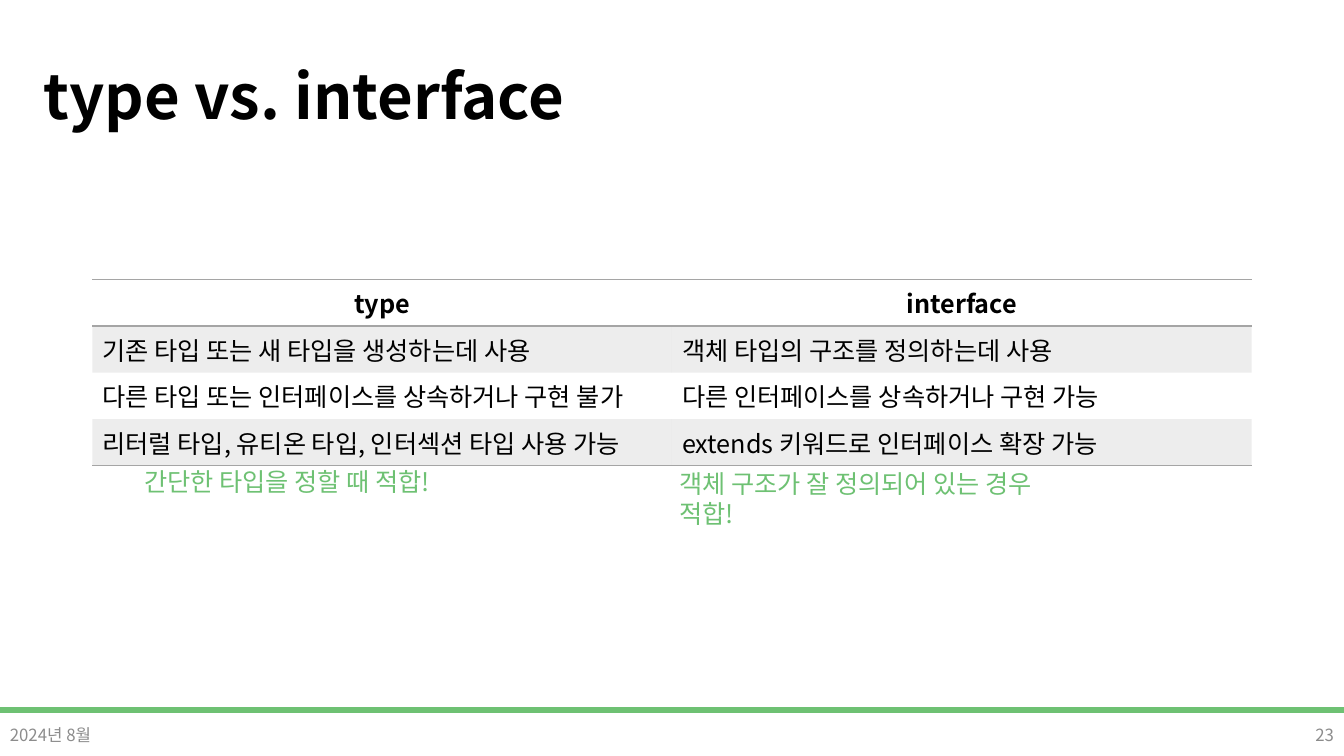
"""Build the slide comparing type and interface."""
import pptx
import pptx.dml.color
import pptx.enum.shapes
import pptx.enum.text
import pptx.oxml
import pptx.oxml.ns
import pptx.util
from lxml import etree

Pt = pptx.util.Pt
RGBColor = pptx.dml.color.RGBColor
ALIGN = pptx.enum.text.PP_ALIGN
ANCHOR = pptx.enum.text.MSO_ANCHOR
qn = pptx.oxml.ns.qn
FONT = "Noto Sans CJK KR"
BLACK = RGBColor(0x00, 0x00, 0x00)
GREEN = RGBColor(0x6E, 0xC1, 0x73)
GRAY = RGBColor(0x8C, 0x8C, 0x8C)
RULE = RGBColor(0xA5, 0xA5, 0xA5)
NO_STYLE = "{2D5ABB26-0587-4C30-8999-92F81FD0307C}"


def write(text_frame, text, size, color, bold=False, align=ALIGN.LEFT):
    paragraph = text_frame.paragraphs[0]
    paragraph.text = text
    paragraph.alignment = align
    font = paragraph.font
    font.name, font.size, font.bold = FONT, Pt(size), bold
    font.color.rgb = color
    defaults = paragraph._p.pPr.find(qn("a:defRPr"))
    etree.SubElement(defaults, qn("a:ea"), typeface=FONT)


def add_rule(cell, side, position):
    border = pptx.oxml.parse_xml(
        f'<a:{side} {pptx.oxml.ns.nsdecls("a")} w="{Pt(1)}"><a:solidFill>'
        f'<a:srgbClr val="{RULE}"/></a:solidFill></a:{side}>')
    cell._tc.get_or_add_tcPr().insert(position, border)


presentation = pptx.Presentation()
presentation.slide_width, presentation.slide_height = Pt(960), Pt(540)
slide = presentation.slides.add_slide(presentation.slide_layouts[5])

bar = slide.shapes.add_shape(
    pptx.enum.shapes.MSO_SHAPE.RECTANGLE, Pt(0), Pt(505.2), Pt(960), Pt(3.8))
bar.shadow.inherit = False
bar.fill.solid()
bar.fill.fore_color.rgb = GREEN
bar.line.color.rgb = GREEN
bar.line.width = Pt(1)

title = slide.shapes.title
title.left, title.top, title.width, title.height = Pt(24), Pt(18.7), Pt(828), Pt(104.4)
title.text_frame.vertical_anchor = ANCHOR.MIDDLE
write(title.text_frame, "type vs. interface", 44, BLACK, True)
title.text_frame.paragraphs[0].line_spacing = 0.9

rows = [
    ("type", "interface"),
    ("기존 타입 또는 새 타입을 생성하는데 사용", "객체 타입의 구조를 정의하는데 사용"),
    ("다른 타입 또는 인터페이스를 상속하거나 구현 불가", "다른 인터페이스를 상속하거나 구현 가능"),
    ("리터럴 타입, 유티온 타입, 인터섹션 타입 사용 가능", "extends 키워드로 인터페이스 확장 가능"),
]
row_height = 29.3
frame = slide.shapes.add_table(
    len(rows), 2, Pt(66), Pt(199.6), Pt(828), Pt(row_height * len(rows)))
table = frame.table
table.first_row = table.horz_banding = False
table._tbl.tblPr.find(qn("a:tableStyleId")).text = NO_STYLE
for row_index, texts in enumerate(rows):
    header = row_index == 0
    for column_index, text in enumerate(texts):
        cell = table.cell(row_index, column_index)
        write(cell.text_frame, text, 18, BLACK, header,
              ALIGN.CENTER if header else ALIGN.LEFT)
        if row_index % 2:
            cell.fill.solid()
            cell.fill.fore_color.rgb = RULE
            color = cell._tc.tcPr.find(".//" + qn("a:srgbClr"))
            etree.SubElement(color, qn("a:alpha"), val="20000")
        else:
            cell.fill.background()
        if header:
            add_rule(cell, "lnT", 0)
            add_rule(cell, "lnB", 1)
        elif row_index == len(rows) - 1:
            add_rule(cell, "lnB", 0)

labels = [
    ("2024년 8월", 0, 510.5, 216, 12, GRAY, ALIGN.LEFT, ANCHOR.MIDDLE),
    ("23", 744, 510.5, 216, 12, GRAY, ALIGN.RIGHT, ANCHOR.MIDDLE),
    ("간단한 타입을 정할 때 적합!", 96, 329.8, 230, 18, GREEN, ALIGN.LEFT, ANCHOR.TOP),
    ("객체 구조가 잘 정의되어 있는 경우 적합!", 478, 331, 303, 18, GREEN, ALIGN.LEFT, ANCHOR.TOP),
]
for text, left, top, width, size, color, align, anchor in labels:
    box = slide.shapes.add_textbox(Pt(left), Pt(top), Pt(width), Pt(29))
    box.text_frame.word_wrap = True
    box.text_frame.vertical_anchor = anchor
    write(box.text_frame, text, size, color, align=align)

presentation.save("out.pptx")
